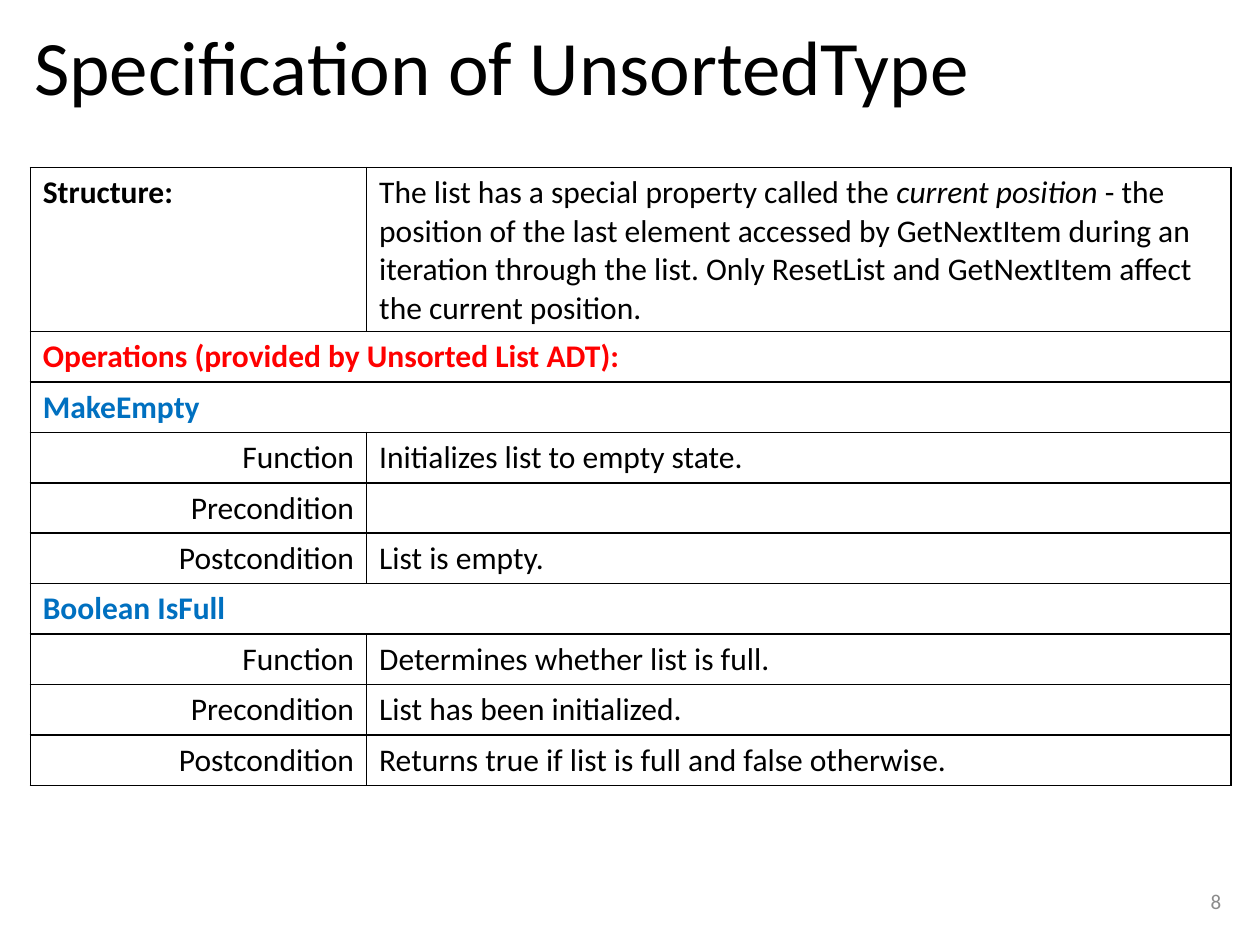
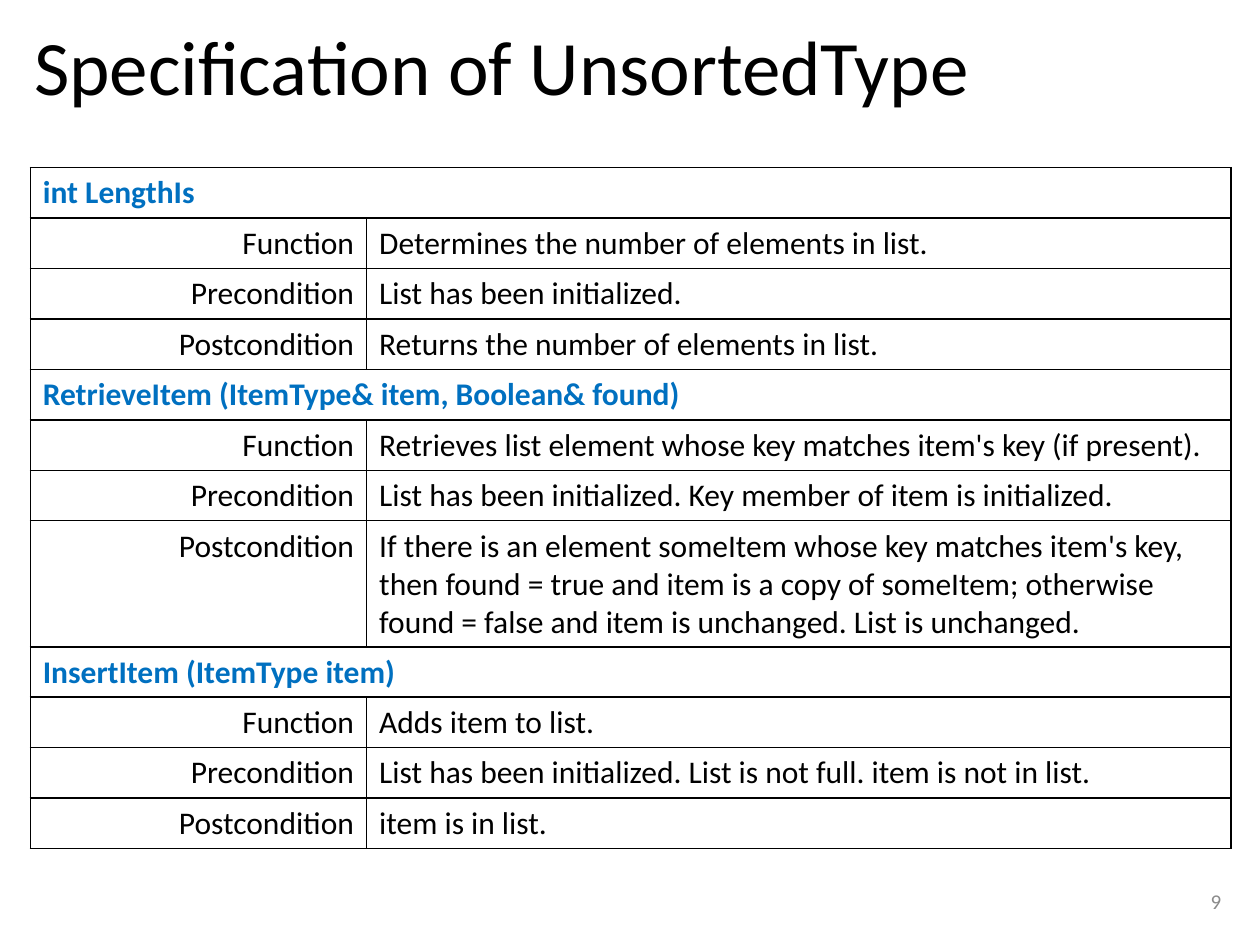
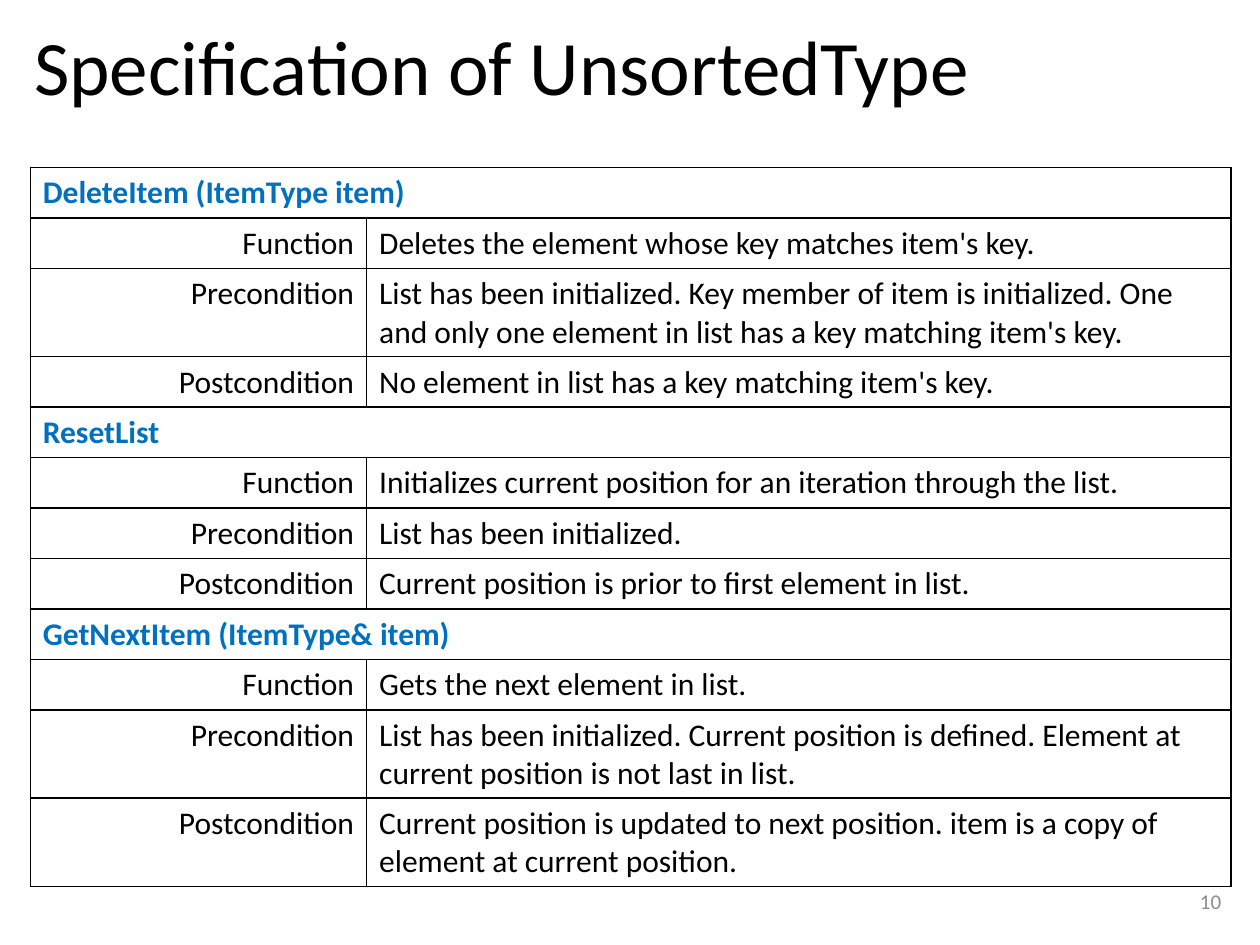
from lxml import etree
from pptx import Presentation
from pptx import util as u
from pptx.dml.color import RGBColor
from pptx.enum import text
from pptx.oxml.ns import qn

COLORS = {
    "text": "000000",
    "section": "FF0000",
    "operation": "0070C0",
    "number": "8B8B8B",
}
FONT = "Calibri"
TITLE = "Specification of UnsortedType"
LABELS = ("Function", "Precondition", "Postcondition")
COLUMNS = (2.67, 6.86)
CELL_PADDING = 0.1
LINE_HEIGHT = 0.25


class Deck:
    def __init__(self):
        self.prs = Presentation()
        self.prs.slide_width = u.Inches(10)
        self.prs.slide_height = u.Inches(7.5)
        self.s = None

    def style(self, p, size, color="text", bold=False, align=text.PP_ALIGN.LEFT):
        p.alignment = align
        for r in p.runs:
            r.font.name = FONT
            r.font.size = u.Pt(size)
            r.font.bold = bold
            r.font.color.rgb = RGBColor.from_string(COLORS[color])

    def add_slide(self, number):
        self.s = self.prs.slides.add_slide(self.prs.slide_layouts[5])
        self.title(TITLE)
        self.number(number)

    def title(self, content):
        sp = self.s.shapes.title
        sp.left, sp.top = u.Inches(0.17), u.Inches(0.18)
        sp.width, sp.height = u.Inches(9.62), u.Inches(0.74)
        tf = sp.text_frame
        tf.text = content
        tf.word_wrap = True
        tf.auto_size = text.MSO_AUTO_SIZE.NONE
        tf.vertical_anchor = text.MSO_ANCHOR.TOP
        p = tf.paragraphs[0]
        p.line_spacing = 0.9
        self.style(p, 44)

    def number(self, value):
        sp = self.s.shapes.add_textbox(
            u.Inches(7.54), u.Inches(6.95), u.Inches(2.25), u.Inches(0.4))
        tf = sp.text_frame
        tf.text = str(value)
        tf.word_wrap = True
        tf.vertical_anchor = text.MSO_ANCHOR.MIDDLE
        self.style(tf.paragraphs[0], 12, "number", align=text.PP_ALIGN.RIGHT)

    def border(self, cell):
        cell.fill.background()
        tcPr = cell._tc.get_or_add_tcPr()
        for i, side in enumerate(("lnL", "lnR", "lnT", "lnB")):
            ln = etree.Element(qn("a:" + side), w=str(u.Pt(1)))
            fill = etree.SubElement(ln, qn("a:solidFill"))
            etree.SubElement(fill, qn("a:srgbClr"), val=COLORS["text"])
            tcPr.insert(i, ln)

    def cell(self, cell, content, **style):
        p = cell.text_frame.paragraphs[0]
        for i, part in enumerate(content.split("*")):
            if part:
                r = p.add_run()
                r.text = part
                r.font.italic = i % 2 == 1
        self.style(p, 18, **style)

    def table(self, rows):
        heights = [CELL_PADDING + LINE_HEIGHT * lines for *_, lines in rows]
        table = self.s.shapes.add_table(
            len(rows), len(COLUMNS), u.Inches(0.24), u.Inches(1.33),
            u.Inches(sum(COLUMNS)), u.Inches(sum(heights))).table
        table.first_row = table.horz_banding = False
        for column, width in zip(table.columns, COLUMNS):
            column.width = u.Inches(width)
        for i, (label, style, detail, _) in enumerate(rows):
            table.rows[i].height = u.Inches(heights[i])
            left, right = table.cell(i, 0), table.cell(i, 1)
            self.border(left)
            self.border(right)
            self.cell(left, label, **style)
            if detail is None:
                left.merge(right)
            else:
                self.cell(right, detail)


def heading(label, color="operation"):
    return label, {"color": color, "bold": True}, None, 1


def operation(name, *details, lines=(1, 1, 1)):
    right = {"align": text.PP_ALIGN.RIGHT}
    return [heading(name)] + [
        (label, right, detail, count)
        for label, detail, count in zip(LABELS, details, lines)]


INITIALIZED = "List has been initialized."
STRUCTURE = (
    "The list has a special property called the *current position *- the "
    "position of the last element accessed by GetNextItem during an iteration "
    "through the list. Only ResetList and GetNextItem affect the current position.")

SLIDES = [
    [("Structure:", {"bold": True}, STRUCTURE, 4),
     heading("Operations (provided by Unsorted List ADT):", "section")]
    + operation("MakeEmpty", "Initializes list to empty state.", "",
                "List is empty.")
    + operation("Boolean IsFull", "Determines whether list is full.", INITIALIZED,
                "Returns true if list is full and false otherwise."),

    operation("int LengthIs", "Determines the number of elements in list.",
              INITIALIZED, "Returns the number of elements in list.")
    + operation("RetrieveItem (ItemType& item, Boolean& found)",
                "Retrieves list element whose key matches item's key (if present).",
                INITIALIZED + " Key member of item is initialized.",
                "If there is an element someItem whose key matches item's key, "
                "then found = true and item is a copy of someItem; otherwise "
                "found = false and item is unchanged. List is unchanged.",
                lines=(1, 1, 3))
    + operation("InsertItem (ItemType item)", "Adds item to list.",
                INITIALIZED + " List is not full. item is not in list.",
                "item is in list."),

    operation("DeleteItem (ItemType item)",
              "Deletes the element whose key matches item's key.",
              INITIALIZED + " Key member of item is initialized. One and only "
              "one element in list has a key matching item's key.",
              "No element in list has a key matching item's key.",
              lines=(1, 2, 1))
    + operation("ResetList",
                "Initializes current position for an iteration through the list.",
                INITIALIZED, "Current position is prior to first element in list.")
    + operation("GetNextItem (ItemType& item)", "Gets the next element in list.",
                INITIALIZED + " Current position is defined. Element at current "
                "position is not last in list.",
                "Current position is updated to next position. item is a copy of "
                "element at current position.",
                lines=(1, 2, 2)),
]

deck = Deck()
for number, rows in enumerate(SLIDES, start=8):
    deck.add_slide(number)
    deck.table(rows)
deck.prs.save("out.pptx")
